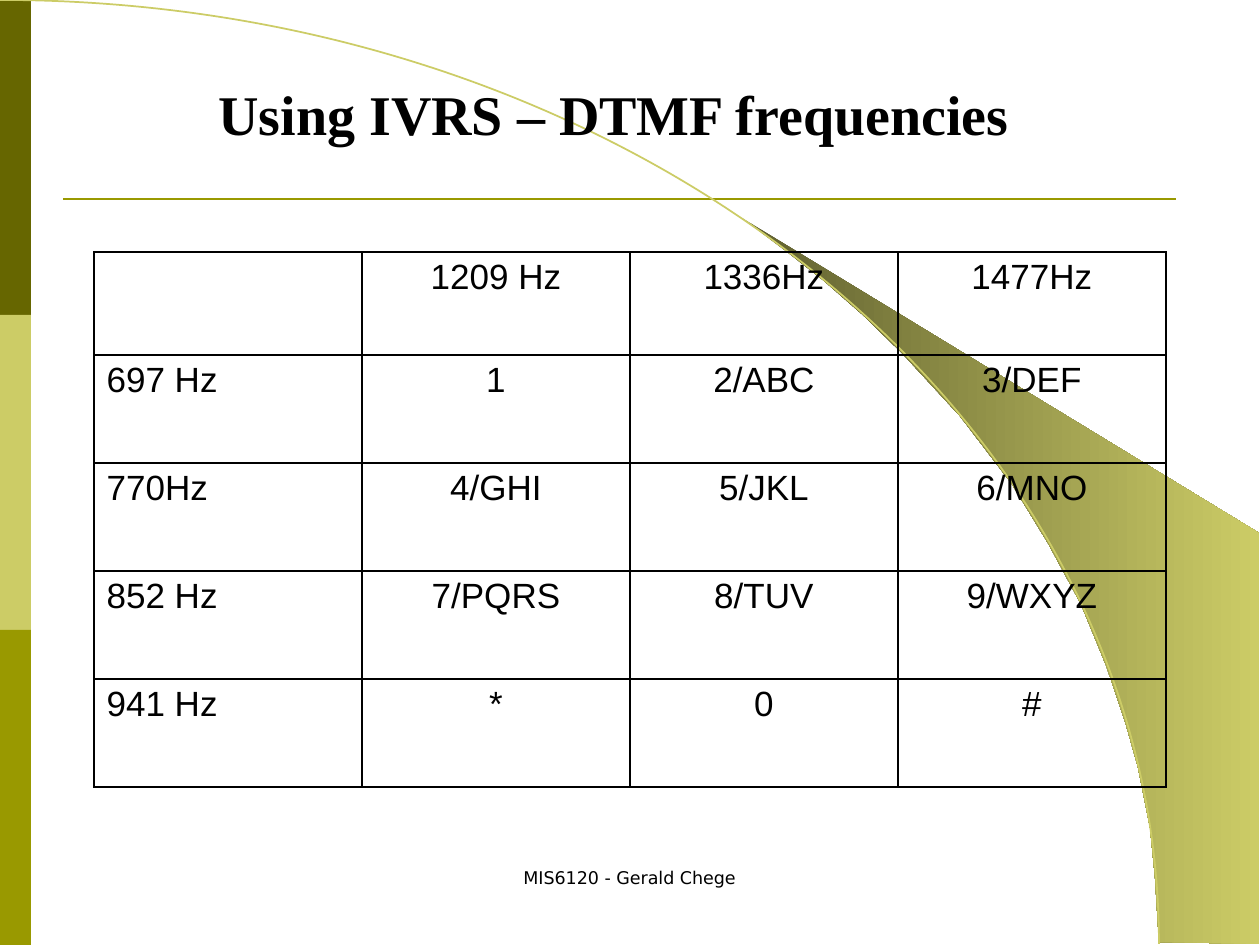
from lxml.etree import SubElement
from pptx import Presentation
from pptx.dml.color import RGBColor
from pptx.enum.shapes import MSO_CONNECTOR, MSO_SHAPE
from pptx.enum.text import MSO_ANCHOR, PP_ALIGN
from pptx.oxml import parse_xml
from pptx.oxml.ns import nsdecls, qn
from pptx.util import Emu, Pt

PX = 914400 / 126
COLORS = {
    "dark": "666600",
    "pale": "CCCC66",
    "olive": "999900",
    "shade": "5E5E2F",
    "text": "000000",
}
RGB = {name: RGBColor.from_string(value) for name, value in COLORS.items()}


def px(*lengths):
    return [Emu(round(n * PX)) for n in lengths]


def set_text(tf, text, font, size, align=PP_ALIGN.CENTER, bold=False):
    p = tf.paragraphs[0]
    if text:
        p.text = text
    p.alignment = align
    p.font.name, p.font.size, p.font.bold = font, Pt(size), bold
    p.font.color.rgb = RGB["text"]


prs = Presentation()
prs.slide_width, prs.slide_height = px(1260, 945)
s = prs.slides.add_slide(prs.slide_layouts[5])

# Side bars and title rule
for i, name in enumerate(("dark", "pale", "olive")):
    bar = s.shapes.add_shape(MSO_SHAPE.RECTANGLE, *px(0, 315 * i, 31, 315))
    bar.shadow.inherit = False
    bar.fill.solid()
    bar.fill.fore_color.rgb = RGB[name]
    bar.line.fill.background()

rule = s.shapes.add_connector(MSO_CONNECTOR.STRAIGHT, *px(63, 199, 1176, 199))
rule.line.color.rgb = RGB["olive"]
rule.line.width = Pt(1.5)
SubElement(rule._element.spPr, qn("a:effectLst"))

# Shaded wedge outside the curve
wedge_points = [
    (1159, 942), (1259, 944), (1259, 533), (742, 218), (786, 251), (823, 280),
    (863, 315), (902, 353), (960, 416), (1012, 484), (1048, 543), (1081, 604),
    (1106, 665), (1125, 721), (1138, 767), (1150, 827), (1155, 877),
]
fb = s.shapes.build_freeform(*wedge_points[0], scale=PX)
fb.add_line_segments(wedge_points[1:], close=True)
wedge = fb.convert_to_shape()
wedge.shadow.inherit = False
wedge.fill.gradient()
wedge.fill.gradient_angle = 0
for stop, name, position in zip(wedge.fill.gradient_stops, ("shade", "pale"), (0, 1)):
    stop.color.rgb = RGB[name]
    stop.position = position
wedge.line.fill.background()

# Quarter ellipse: the straight segment becomes one cubic curve
fb = s.shapes.build_freeform(0, 0, scale=PX)
fb.add_line_segments([(1159, 944)], close=False)
arc = fb.convert_to_shape()
segment = next(arc._element.iter(qn("a:lnTo")))
segment.tag = qn("a:cubicBezTo")
for i, (x, y) in enumerate([(640, 0), (1159, 422)]):
    segment.insert(i, parse_xml(f'<a:pt {nsdecls("a")} x="{x}" y="{y}"/>'))
arc.shadow.inherit = False
arc.fill.background()
arc.line.color.rgb = RGB["pale"]
arc.line.width = Pt(1)

# Title, brought in front of the curve
title = s.shapes.title
s.shapes._spTree.append(title._element)
title.left, title.top, title.width, title.height = px(52, 74, 1124, 79)
title.text_frame.vertical_anchor = MSO_ANCHOR.MIDDLE
set_text(title.text_frame, "Using IVRS – DTMF frequencies", "Times New Roman", 32, bold=True)

# Frequency table
rows = [
    ["", "1209 Hz", "1336Hz", "1477Hz"],
    ["697 Hz", "1", "2/ABC", "3/DEF"],
    ["770Hz", "4/GHI", "5/JKL", "6/MNO"],
    ["852 Hz", "7/PQRS", "8/TUV", "9/WXYZ"],
    ["941 Hz", "*", "0", "#"],
]
table = s.shapes.add_table(5, 4, *px(94, 252, 1072, 535)).table
table.first_row = table.horz_banding = False
for col in table.columns:
    col.width = px(268)[0]
for i, row in enumerate(rows):
    table.rows[i].height = px(108 if i else 103)[0]
    for j, text in enumerate(row):
        cell = table.cell(i, j)
        set_text(cell.text_frame, text, "Arial", 20, PP_ALIGN.CENTER if j else PP_ALIGN.LEFT)
        tcPr = cell._tc.get_or_add_tcPr()
        for edge in ("lnL", "lnR", "lnT", "lnB"):
            tcPr.append(parse_xml(
                f'<a:{edge} {nsdecls("a")} w="12700"><a:solidFill>'
                f'<a:srgbClr val="{COLORS["text"]}"/></a:solidFill></a:{edge}>'))
        cell.fill.background()

# Footer
footer = s.shapes.add_textbox(*px(430, 861, 399, 63))
footer.text_frame.word_wrap = True
set_text(footer.text_frame, "MIS6120 - Gerald Chege", "DejaVu Sans", 10)

prs.save("out.pptx")
